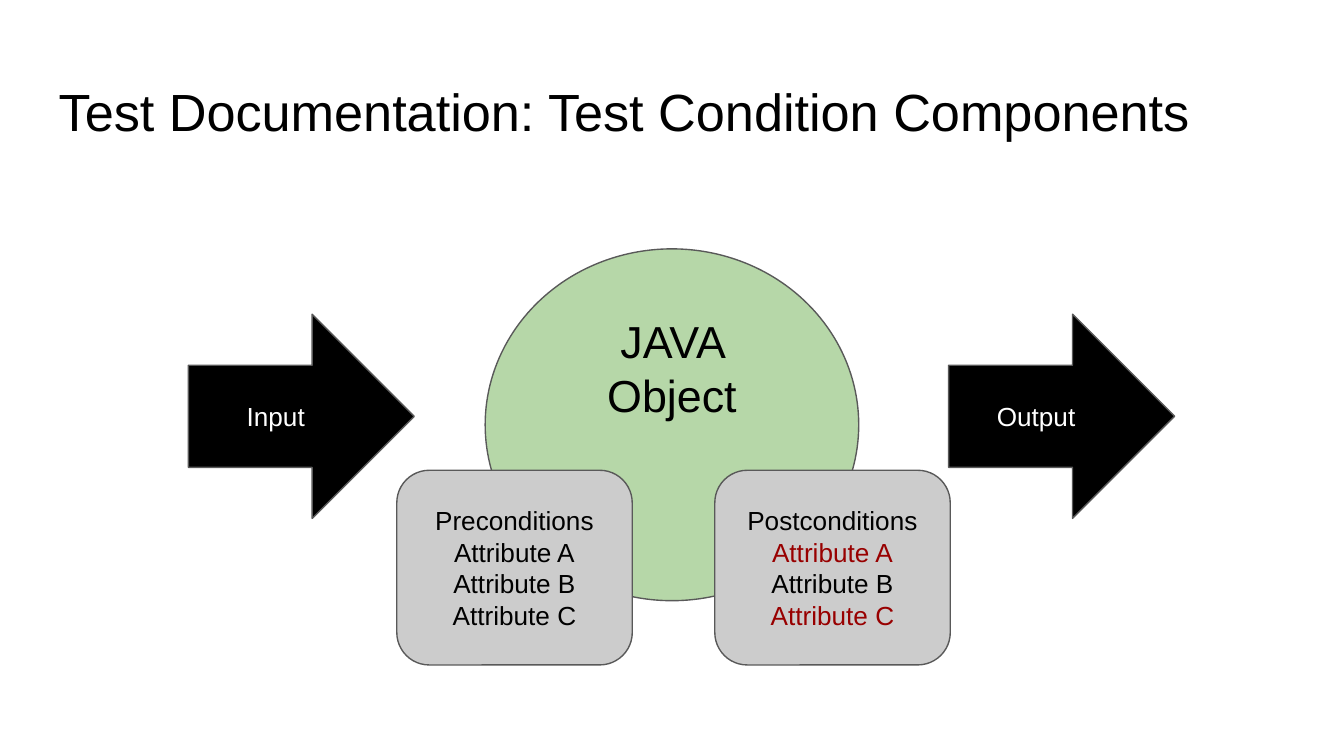
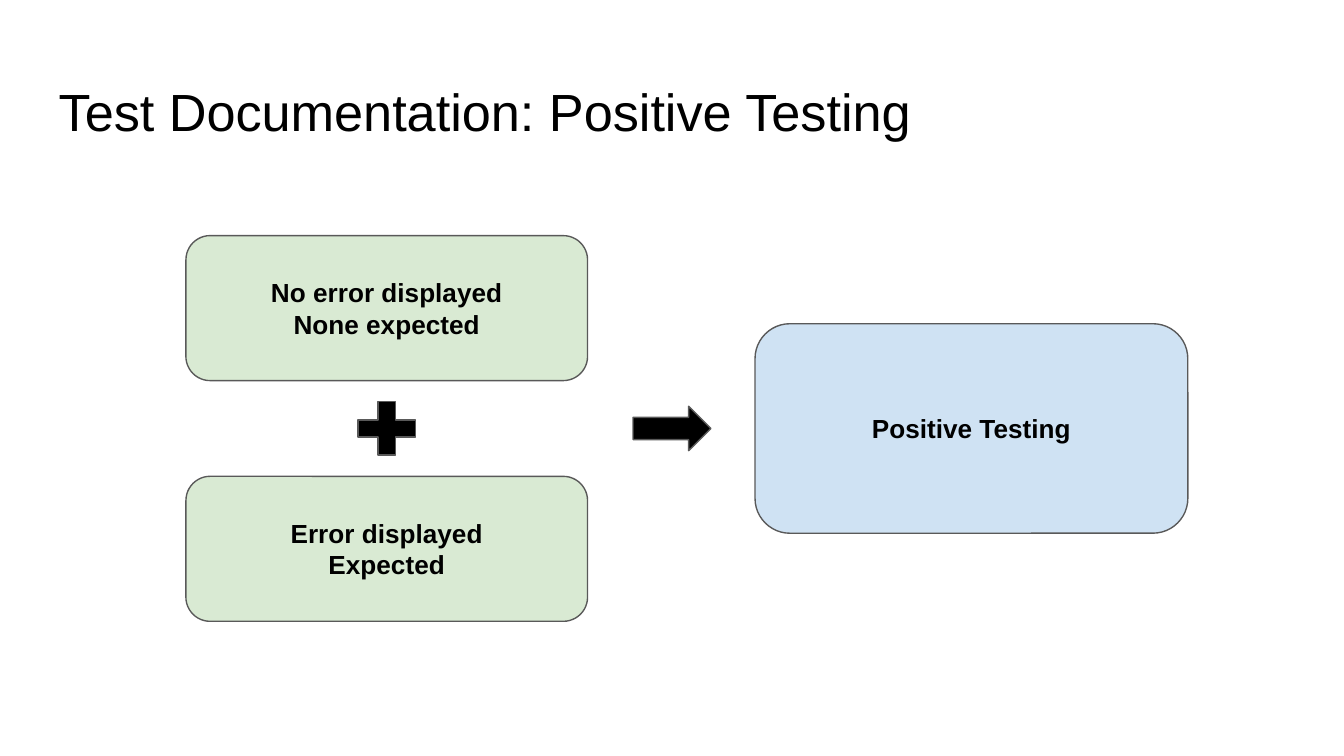
from pptx import Presentation
from pptx.dml.color import RGBColor
from pptx.enum.shapes import MSO_SHAPE
from pptx.enum.text import MSO_ANCHOR, PP_ALIGN
from pptx.util import Cm, Pt

ARROW = MSO_SHAPE.RIGHT_ARROW
CARD = MSO_SHAPE.ROUNDED_RECTANGLE
CIRCLE = MSO_SHAPE.OVAL
PLUS = MSO_SHAPE.MATH_PLUS
TOP, MIDDLE = MSO_ANCHOR.TOP, MSO_ANCHOR.MIDDLE
LEFT, CENTER = PP_ALIGN.LEFT, PP_ALIGN.CENTER

FONT = "Arial"
BLACK, WHITE, RED = "000000", "FFFFFF", "980000"
OUTLINE, GREY = "595959", "CCCCCC"
GREEN, PALE_GREEN, PALE_BLUE = "B6D7A8", "D9EAD3", "CFE2F3"

SLIDE_W, SLIDE_H = 25.4, 14.29
TITLE_BOX = (0.86, 1.24, 23.67, 1.6)
INSET = 0.25

COMPONENTS_TITLE = "Test Documentation: Test Condition Components"
FLOWS = ["Input", "Output"]
TESTED_OBJECT = "JAVA Object"
CONDITIONS = [
    [("Preconditions", BLACK), ("Attribute A", BLACK),
     ("Attribute B", BLACK), ("Attribute C", BLACK)],
    [("Postconditions", BLACK), ("Attribute A", RED),
     ("Attribute B", BLACK), ("Attribute C", RED)],
]

POSITIVE_TITLE = "Test Documentation: Positive Testing"
CASES = ["No error displayed\nNone expected", "Error displayed\nExpected"]
OUTCOME = "Positive Testing"


def color(hex_code):
    return RGBColor.from_string(hex_code)


def write(frame, lines, size, align=CENTER, anchor=MIDDLE, bold=False):
    frame.word_wrap = True
    frame.vertical_anchor = anchor
    frame.margin_left = frame.margin_right = Cm(INSET)
    frame.margin_top = frame.margin_bottom = Cm(INSET)
    for i, (text, ink) in enumerate(lines):
        paragraph = frame.add_paragraph() if i else frame.paragraphs[0]
        paragraph.alignment = align
        for j, part in enumerate(text.split("\n")):
            if j:
                paragraph.add_line_break()
            run = paragraph.add_run()
            run.text = part
            run.font.name = FONT
            run.font.size = Pt(size)
            run.font.bold = bold
            run.font.color.rgb = color(ink)


def add_figure(slide, kind, box, fill, lines=(), size=14, **style):
    figure = slide.shapes.add_shape(kind, *map(Cm, box))
    figure.shadow.inherit = False
    figure.fill.solid()
    figure.fill.fore_color.rgb = color(fill)
    figure.line.color.rgb = color(OUTLINE)
    figure.line.width = Pt(0.75)
    write(figure.text_frame, lines, size, **style)


def add_titled_slide(deck, title):
    slide = deck.slides.add_slide(deck.slide_layouts[6])
    heading = slide.shapes.add_textbox(*map(Cm, TITLE_BOX))
    write(heading.text_frame, [(title, BLACK)], 28, align=LEFT, anchor=TOP)
    return slide


def centered(x, y, width, height):
    return x - width / 2, y - height / 2, width, height


def build_components(deck):
    slide = add_titled_slide(deck, COMPONENTS_TITLE)
    for i, flow in enumerate(FLOWS):
        add_figure(slide, ARROW, (3.56 + i * 14.37, 5.94, 4.27, 3.86),
                   BLACK, [(flow, WHITE)])
    add_figure(slide, CIRCLE, centered(SLIDE_W / 2, 8.03, 7.06, 6.65), GREEN,
               [(TESTED_OBJECT, BLACK)], size=24, anchor=TOP)
    for i, condition in enumerate(CONDITIONS):
        add_figure(slide, CARD, (7.5 + i * 6.01, 8.89, 4.45, 3.68),
                   GREY, condition)


def build_positive_testing(deck):
    slide = add_titled_slide(deck, POSITIVE_TITLE)
    axis, case_x, case_pitch = 8.1, 7.31, 4.55
    for i, case in enumerate(CASES):
        case_y = axis + (i - 0.5) * case_pitch
        add_figure(slide, CARD, centered(case_x, case_y, 7.59, 2.74),
                   PALE_GREEN, [(case, BLACK)], bold=True)
    add_figure(slide, CARD, centered(18.36, axis, 8.18, 3.96),
               PALE_BLUE, [(OUTCOME, BLACK)], bold=True)
    add_figure(slide, PLUS, centered(case_x, axis, 1.47, 1.37), BLACK)
    add_figure(slide, ARROW, centered(12.7, axis, 1.47, 0.84), BLACK)


def main():
    """Build the two test documentation slides."""
    deck = Presentation()
    deck.slide_width, deck.slide_height = Cm(SLIDE_W), Cm(SLIDE_H)
    build_components(deck)
    build_positive_testing(deck)
    deck.save("out.pptx")


if __name__ == "__main__":
    main()
